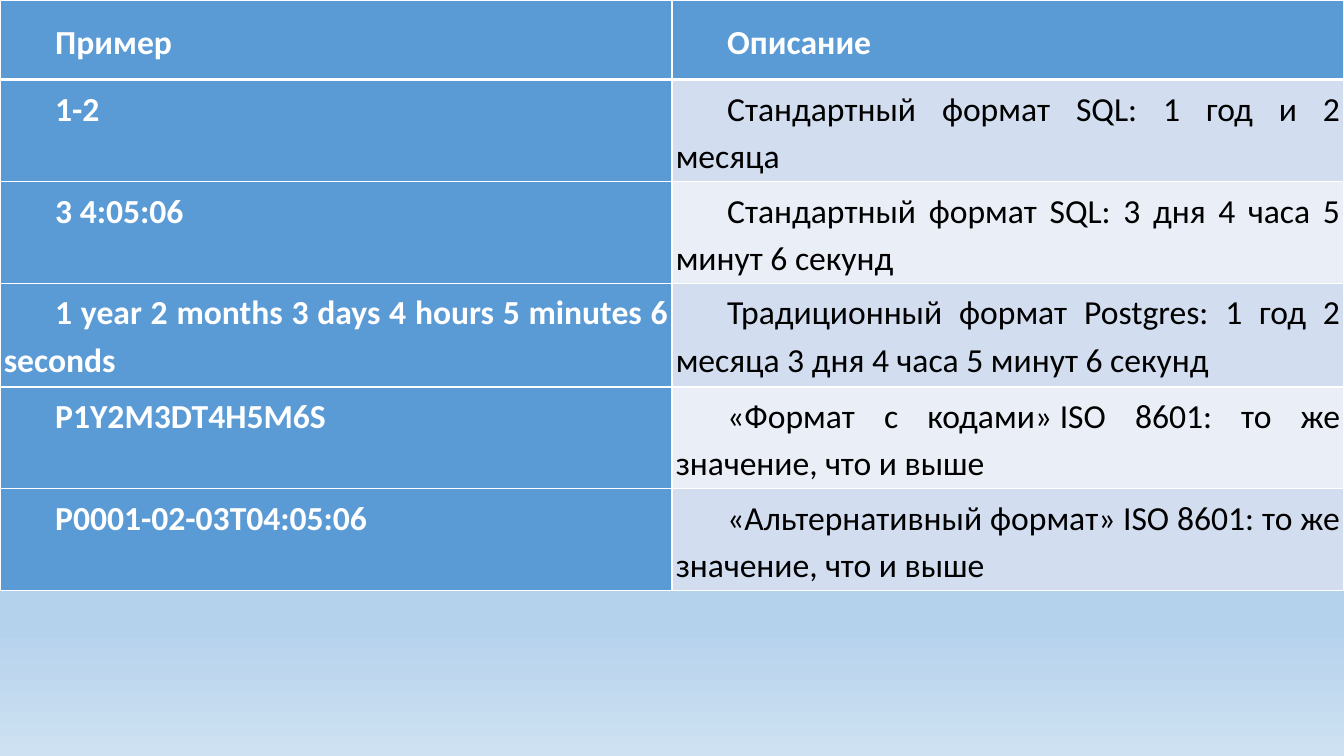
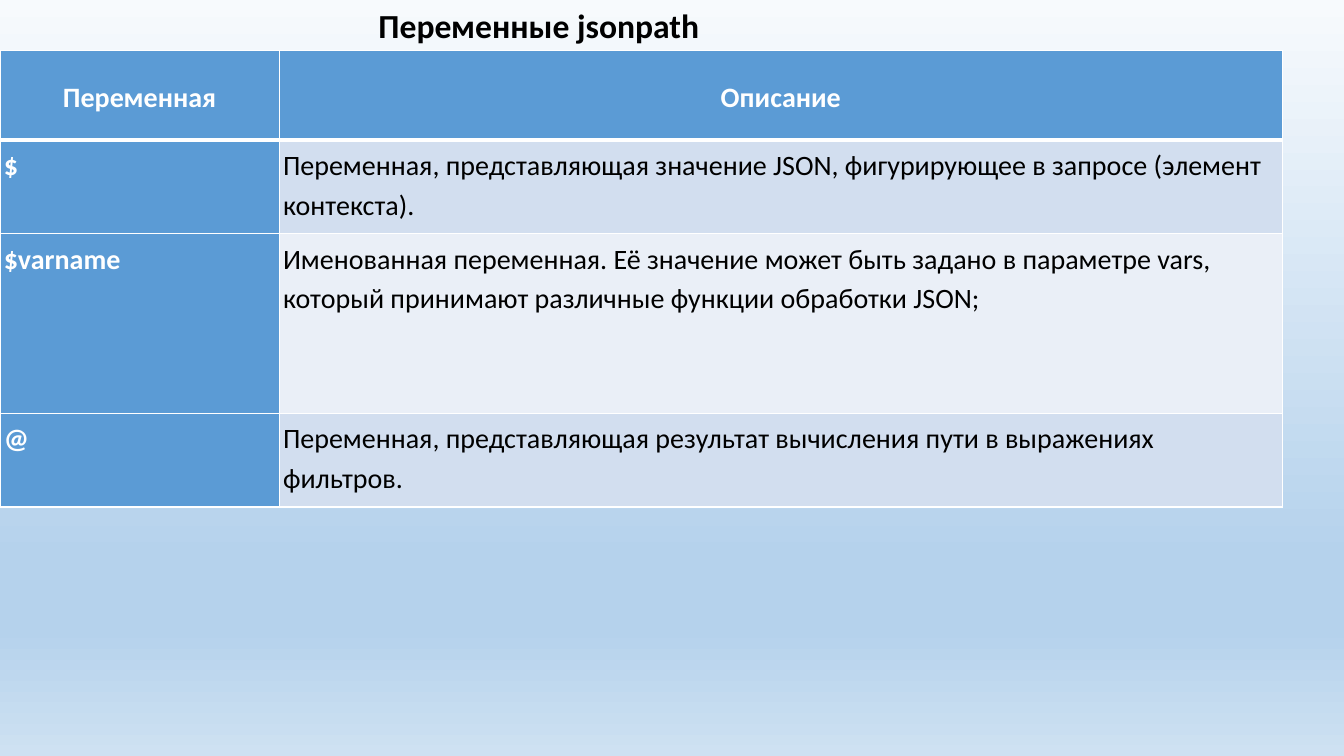
from dataclasses import dataclass

from lxml.etree import SubElement
from pptx import Presentation
from pptx.dml.color import RGBColor as RGB
from pptx.enum.text import MSO_ANCHOR as Anchor, PP_ALIGN as Align
from pptx.oxml import parse_xml
from pptx.oxml.ns import nsdecls, qn
from pptx.util import Inches, Pt

# Content
NBSP = chr(160)
INTERVALS = [
    ("Пример", "Описание"),
    ("1-2", "Стандартный формат SQL: 1 год и 2 месяца"),
    ("3 4:05:06", "Стандартный формат SQL: 3 дня 4 часа 5 минут 6 секунд"),
    ("1 year 2 months 3 days 4 hours 5 minutes 6 seconds",
     "Традиционный формат Postgres: 1 год 2 месяца 3 дня 4 часа 5 минут 6 секунд"),
    ("P1Y2M3DT4H5M6S", f"«Формат с кодами»{NBSP}ISO 8601: то же значение, что и выше"),
    ("P0001-02-03T04:05:06",
     f"«Альтернативный формат»{NBSP}ISO 8601: то же значение, что и выше"),
]
VARIABLES_TITLE = "Переменные jsonpath"
VARIABLES = [
    ("Переменная", "Описание"),
    ("$", "Переменная, представляющая значение JSON, фигурирующее в запросе "
          "(элемент контекста)."),
    ("$varname", f"Именованная переменная. Её значение может быть задано в параметре{NBSP}vars, "
                 "который принимают различные функции обработки JSON;"),
    ("@", "Переменная, представляющая результат вычисления пути в выражениях фильтров."),
]


@dataclass(frozen=True)
class Theme:
    font: str = "Calibri"
    large: int = 24
    medium: int = 20
    accent: str = "5B9BD5"
    bands: tuple = ("D2DEEF", "EAEFF7")
    light: str = "FFFFFF"
    dark: str = "000000"
    sky: tuple = ((0, "F7FAFD"), (74, "B5D2EC"), (83, "B5D2EC"), (100, "CEE1F2"))
    rule: int = 1
    header_rule: int = 3
    line_spacing: float = 1.15
    inset: float = 2.7


THEME = Theme()
WIDTH, HEIGHT = 13.33, 7.5
TITLE_HEIGHT = 0.5

# Paragraph formats of each table
INTERVAL_STYLE = dict(size=THEME.large, header=Align.JUSTIFY, body=Align.JUSTIFY,
                      indent=0.51, after=0)
VARIABLE_STYLE = dict(size=THEME.medium, header=Align.CENTER, body=Align.LEFT,
                      indent=0, after=10)


def assign(target, **values):
    for name, value in values.items():
        setattr(target, name, value)


def write(paragraph, text, size, color, bold):
    paragraph.text = text
    assign(paragraph.font, name=THEME.font, size=Pt(size), bold=bold)
    paragraph.font.color.rgb = RGB.from_string(color)


def new_slide(deck):
    slide = deck.slides.add_slide(deck.slide_layouts[6])
    fill = slide.background.fill
    fill.solid()
    stops = "".join(f'<a:gs pos="{share * 1000}"><a:srgbClr val="{color}"/></a:gs>'
                    for share, color in THEME.sky)
    gradient = parse_xml(f'<a:gradFill {nsdecls("a")} rotWithShape="1"><a:gsLst>{stops}'
                         '</a:gsLst><a:lin ang="5400000" scaled="0"/></a:gradFill>')
    solid = slide.background._cSld.find(".//" + qn("a:solidFill"))
    solid.getparent().replace(solid, gradient)
    return slide


def add_borders(cell, row):
    widths = dict.fromkeys("LRTB", THEME.rule)
    if row < 2:
        widths["B" if row == 0 else "T"] = THEME.header_rule
    properties = cell._tc.get_or_add_tcPr()
    for side, width in widths.items():
        line = SubElement(properties, qn(f"a:ln{side}"), w=str(Pt(width)))
        SubElement(SubElement(line, qn("a:solidFill")), qn("a:srgbClr"), val=THEME.light)


def fill_cell(cell, text, row, column, style):
    header = row == 0
    strong = header or column == 0
    margin = Pt(THEME.inset)
    assign(cell, margin_left=margin, margin_right=margin, margin_top=margin,
           margin_bottom=margin, vertical_anchor=Anchor.MIDDLE if header else Anchor.TOP)
    add_borders(cell, row)
    cell.fill.solid()
    cell.fill.fore_color.rgb = RGB.from_string(
        THEME.accent if strong else THEME.bands[(row - 1) % 2])
    paragraph = cell.text_frame.paragraphs[0]
    write(paragraph, text, style["size"], THEME.light if strong else THEME.dark, strong)
    assign(paragraph, alignment=style["header" if header else "body"],
           line_spacing=THEME.line_spacing, space_after=Pt(0 if header else style["after"]))
    paragraph._p.get_or_add_pPr().set("indent", str(Inches(style["indent"])))


def add_grid(slide, content, top, widths, heights, style):
    table = slide.shapes.add_table(
        len(content), len(widths), 0, Inches(top),
        Inches(sum(widths)), Inches(sum(heights))).table
    for column, width in zip(table.columns, widths):
        column.width = Inches(width)
    for row, height in zip(table.rows, heights):
        row.height = Inches(height)
    for r, texts in enumerate(content):
        for c, text in enumerate(texts):
            fill_cell(table.cell(r, c), text, r, c, style)


def add_title(slide, text, left, width):
    box = slide.shapes.add_textbox(Inches(left), 0, Inches(width), Inches(TITLE_HEIGHT))
    box.text_frame.word_wrap = True
    heading = box.text_frame.paragraphs[0]
    write(heading, text, THEME.large, THEME.dark, True)
    heading.alignment = Align.CENTER


def main():
    deck = Presentation()
    assign(deck, slide_width=Inches(WIDTH), slide_height=Inches(HEIGHT))

    # Interval formats, across the full width
    add_grid(new_slide(deck), INTERVALS, 0, [WIDTH / 2] * 2,
             [0.79, 0.79, 0.79, 1.03, 0.79, 0.79], INTERVAL_STYLE)

    # Variables, below their title
    variables = new_slide(deck)
    add_grid(variables, VARIABLES, TITLE_HEIGHT, [2.77, 9.95],
             [0.89, 0.93, 1.78, 0.93], VARIABLE_STYLE)
    add_title(variables, VARIABLES_TITLE, 2.74, 5.21)

    deck.save("out.pptx")


if __name__ == "__main__":
    main()
